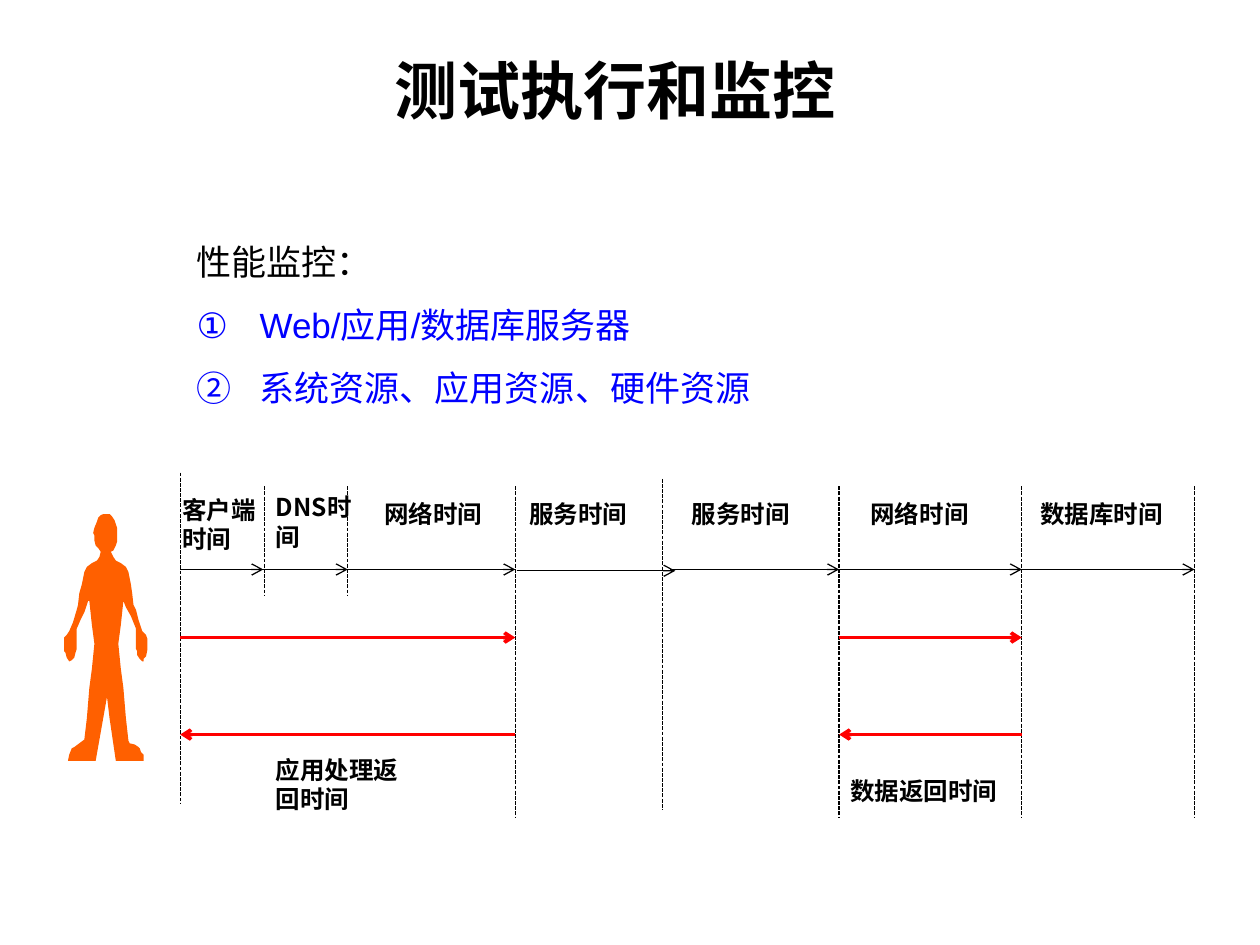
from pptx import Presentation
from pptx.dml.color import RGBColor
from pptx.enum.dml import MSO_LINE
from pptx.enum.shapes import MSO_CONNECTOR
from pptx.enum.text import MSO_ANCHOR, MSO_AUTO_SIZE, PP_ALIGN
from pptx.oxml.ns import qn
from pptx.util import Inches, Pt
from lxml.etree import SubElement

BLACK = RGBColor(0x00, 0x00, 0x00)
BLUE = RGBColor(0x00, 0x00, 0xFF)
RED = RGBColor(0xFF, 0x00, 0x00)
ORANGE = RGBColor(0xFF, 0x60, 0x00)
CJK_FONT = "Noto Sans CJK SC"

BODY_ITEMS = [
    ("性能监控：", BLACK, False),
    ("Web/应用/数据库服务器", BLUE, True),
    ("系统资源、应用资源、硬件资源", BLUE, True),
]

# Text, left, top, width, height, alignment
LABELS = [
    ("客户端时间", 1.35, 3.88, 0.83, 0.57, PP_ALIGN.LEFT),
    ("DNS时间", 2.09, 3.86, 0.83, 0.57, PP_ALIGN.LEFT),
    ("网络时间", 2.95, 3.91, 1.10, 0.34, PP_ALIGN.LEFT),
    ("服务时间", 4.10, 3.91, 1.12, 0.34, PP_ALIGN.LEFT),
    ("服务时间", 5.39, 3.91, 1.12, 0.34, PP_ALIGN.LEFT),
    ("网络时间", 6.81, 3.91, 1.19, 0.34, PP_ALIGN.LEFT),
    ("数据库时间", 8.06, 3.91, 1.37, 0.34, PP_ALIGN.CENTER),
    ("应用处理返回时间", 2.09, 5.94, 1.25, 0.57, PP_ALIGN.LEFT),
    ("数据返回时间", 6.65, 6.11, 1.43, 0.34, PP_ALIGN.LEFT),
]

# Horizontal position, top, bottom
BOUNDARIES = [
    (1.43, 3.75, 6.38), (2.10, 3.86, 4.73), (2.76, 3.86, 4.73),
    (4.09, 3.86, 6.49), (5.26, 3.80, 6.43), (6.66, 3.86, 6.49),
    (8.11, 3.86, 6.49), (9.48, 3.86, 6.49),
]

# Start, end, height of each stage on the time line
STAGES = [
    (1.43, 2.09, 4.52), (2.09, 2.76, 4.52), (2.76, 4.09, 4.52),
    (4.10, 5.36, 4.53), (5.32, 6.66, 4.52), (6.66, 8.11, 4.52),
    (8.11, 9.48, 4.52),
]
ROUND_TRIPS = [(1.43, 4.09), (6.66, 8.11)]
REQUEST_Y, RESPONSE_Y = 5.06, 5.83

# Outline in hundredths of an inch, clockwise from the left of the neck
PERSON_OUTLINE = [
    # head
    (80, 438), (78, 435), (76, 433), (75, 429), (75, 425), (74, 423),
    (75, 419), (77, 414), (78, 411), (80, 409), (82, 408), (87, 408),
    (89, 410), (91, 413), (92, 416), (93, 419), (93, 430), (92, 433),
    (90, 437), (88, 438),
    # right arm and hand
    (90, 442), (92, 445), (96, 447), (100, 450), (102, 454), (104, 464),
    (105, 471), (106, 480), (108, 484), (110, 492), (113, 501), (116, 504),
    (117, 507), (117, 516), (116, 521), (114, 523), (114, 525), (113, 525),
    (111, 523), (109, 520), (109, 517), (108, 515), (108, 499), (104, 489),
    (100, 482), (98, 477),
    # right leg and foot, then left foot and leg
    (96, 496), (94, 511), (96, 531), (98, 546), (100, 570), (102, 588),
    (103, 590), (107, 591), (110, 593), (111, 594), (112, 597), (114, 599),
    (114, 604), (92, 604), (87, 570), (85, 553), (82, 570), (76, 604),
    (54, 604), (55, 599), (57, 594), (59, 593), (63, 590), (67, 587),
    (69, 570), (71, 546), (73, 531), (75, 511), (73, 496), (71, 477),
    # left hand and arm
    (70, 477), (69, 480), (67, 486), (64, 492), (61, 499), (61, 515),
    (60, 518), (59, 522), (57, 524), (55, 525), (53, 522), (52, 518),
    (51, 517), (51, 506), (53, 504), (55, 501), (58, 494), (61, 484),
    (62, 480), (63, 471), (65, 464), (67, 454), (69, 450), (73, 447),
    (77, 445), (79, 442),
]


def place(shape, left, top, width, height):
    shape.left, shape.top = Inches(left), Inches(top)
    shape.width, shape.height = Inches(width), Inches(height)


def add_run(paragraph, text, font_name, size, color, bold=False):
    run = paragraph.add_run()
    run.text = text
    font = run.font
    font.name, font.size, font.bold = font_name, Pt(size), bold
    font.color.rgb = color
    east_asian = SubElement(font._element, qn("a:ea"))
    east_asian.set("typeface", CJK_FONT)


def prepare_frame(shape):
    frame = shape.text_frame
    frame.word_wrap = True
    frame.auto_size = MSO_AUTO_SIZE.NONE
    frame.vertical_anchor = MSO_ANCHOR.TOP
    return frame


def fill_title(title):
    place(title, 2.17, 0.36, 5.42, 0.71)
    paragraph = prepare_frame(title).paragraphs[0]
    paragraph.alignment = PP_ALIGN.CENTER
    add_run(paragraph, "测试执行和监控", "Times New Roman", 36, BLACK, True)


def fill_body(body):
    place(body, 1.46, 1.86, 5.83, 1.45)
    frame = prepare_frame(body)
    for index, (text, color, numbered) in enumerate(BODY_ITEMS):
        paragraph = frame.add_paragraph() if index else frame.paragraphs[0]
        properties = paragraph._p.get_or_add_pPr()
        properties.set("marL", str(Inches(0.5)))
        properties.set("indent", str(-Inches(0.5)))
        if numbered:
            bullet = SubElement(properties, qn("a:buAutoNum"))
            bullet.set("type", "circleNumDbPlain")
        else:
            SubElement(properties, qn("a:buNone"))
        paragraph.space_before = Pt(6 if index else 0)
        paragraph.space_after = Pt(6)
        add_run(paragraph, text, "Arial", 20, color)


def add_label(slide, text, left, top, width, height, alignment):
    box = slide.shapes.add_textbox(
        Inches(left), Inches(top), Inches(width), Inches(height))
    paragraph = prepare_frame(box).paragraphs[0]
    paragraph.alignment = alignment
    add_run(paragraph, text, CJK_FONT, 14, BLACK, True)


def add_line(slide, start, end, color=BLACK, width=0.75):
    connector = slide.shapes.add_connector(
        MSO_CONNECTOR.STRAIGHT, *(Inches(value) for value in (*start, *end)))
    connector.line.color.rgb = color
    connector.line.width = Pt(width)
    SubElement(connector._element.spPr, qn("a:effectLst"))
    return connector


def add_boundary(slide, x, top, bottom):
    connector = add_line(slide, (x, top), (x, bottom))
    connector.line.dash_style = MSO_LINE.SQUARE_DOT


def add_arrow(slide, start_x, end_x, y, color=BLACK, width=0.75):
    connector = add_line(slide, (start_x, y), (end_x, y), color, width)
    head = SubElement(connector.line._get_or_add_ln(), qn("a:tailEnd"))
    head.set("type", "arrow")


def add_person(slide):
    builder = slide.shapes.build_freeform(
        *PERSON_OUTLINE[0], scale=Inches(0.01))
    builder.add_line_segments(PERSON_OUTLINE[1:], close=True)
    person = builder.convert_to_shape()
    person.shadow.inherit = False
    person.fill.solid()
    person.fill.fore_color.rgb = ORANGE
    person.line.fill.background()


def main():
    presentation = Presentation()
    presentation.slide_width = Inches(10)
    presentation.slide_height = Inches(7.5)
    slide = presentation.slides.add_slide(presentation.slide_layouts[1])

    fill_title(slide.shapes.title)
    fill_body(slide.placeholders[1])
    add_person(slide)
    for boundary in BOUNDARIES:
        add_boundary(slide, *boundary)
    for stage in STAGES:
        add_arrow(slide, *stage)
    for near, far in ROUND_TRIPS:
        add_arrow(slide, near, far, REQUEST_Y, RED, 2)
        add_arrow(slide, far, near, RESPONSE_Y, RED, 2)
    for label in LABELS:
        add_label(slide, *label)

    presentation.save("out.pptx")


if __name__ == "__main__":
    main()
